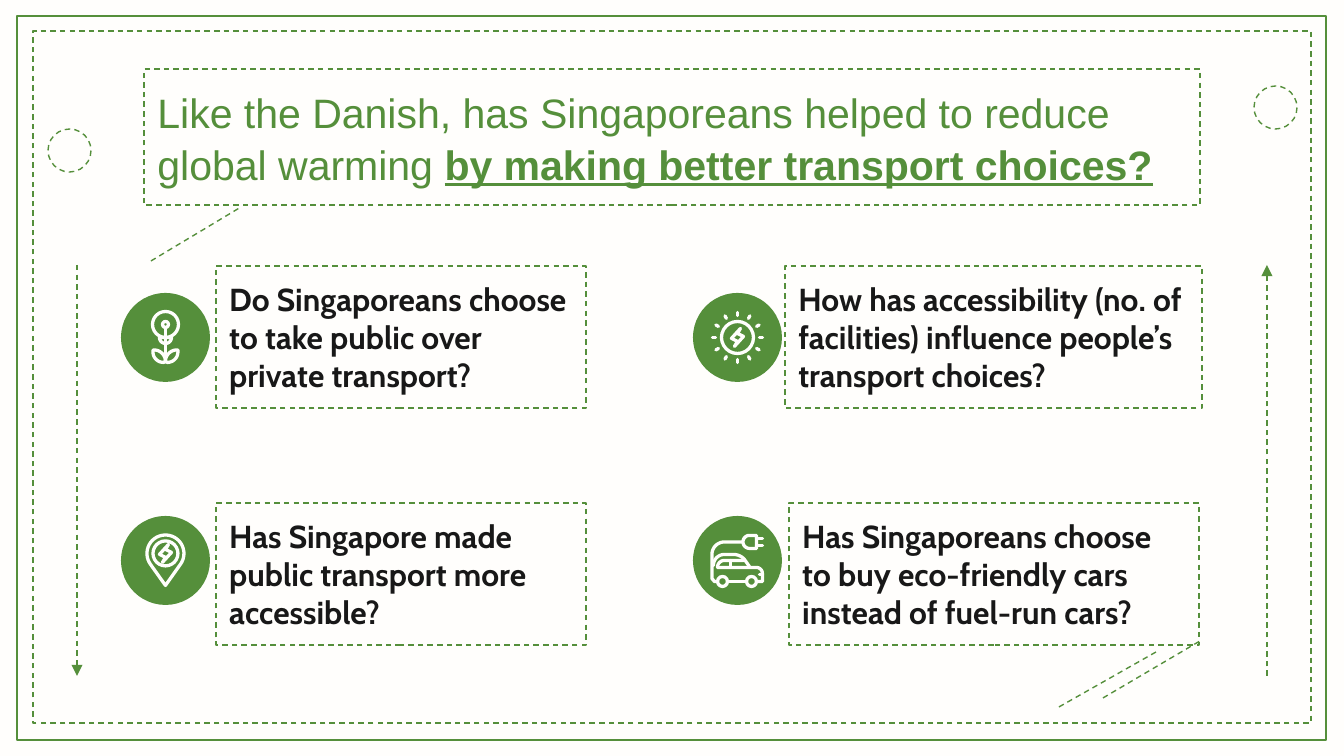
import math

import pptx
import pptx.dml.color
import pptx.enum.dml
import pptx.enum.shapes
import pptx.enum.text
import pptx.oxml
import pptx.oxml.ns
import pptx.util

EMU_PER_PX = 914400 / 134.4
GREEN, CREAM, INK = "558F3B", "FFFEFC", "181818"
ICON_WIDTH = 1.75
BADGE = 89

TITLE_BOX = (144, 69, 1056, 136)
TITLE = [
    ("Like the Danish, has Singaporeans helped to reduce global warming ", False),
    ("by making better transport choices?", True),
]

# icon, badge left and top, card left, top, width and height, question
CARDS = [
    ("bulb", 121, 293, (216, 266, 370, 142),
     "Do Singaporeans choose to take public over private transport?"),
    ("pin", 121, 516, (216, 503, 370, 142),
     "Has Singapore made public transport more accessible?"),
    ("sun", 693, 293, (785, 266, 417, 142),
     "How has accessibility (no. of facilities) influence people’s transport choices?"),
    ("car", 693, 516, (789, 503, 410, 142),
     "Has Singaporeans choose to buy eco-friendly cars instead of fuel-run cars?"),
]

FRAMES = [((17, 16, 1309, 724), 1.5, False), ((33, 31, 1278, 692), 0.75, True)]
DOTS = [(48, 129, 43, 43), (1254, 86, 43, 43)]
DASHES = [(1103, 698, 1200, 641), (151, 261, 241, 207), (1059, 707, 1156, 652)]
ARROWS = [(77, 265, 77, 676), (1267, 676, 1267, 265)]


def arc(x, y, radius, start, end):
    """Points along an arc, in degrees clockwise from the right."""
    steps = max(2, abs(end - start) // 8)
    angles = [math.radians(start + (end - start) * i / steps) for i in range(steps + 1)]
    return [(x + radius * math.cos(a), y + radius * math.sin(a)) for a in angles]


def mirror(points):
    return [(-x, y) for x, y in points]


def bolt(y):
    half = [(3, -9), (-6, 1), (0, 4)]
    return [(px, y + py) for px, py in half + [(-px, -py) for px, py in half]]


def ray(angle):
    a = math.radians(angle)
    return [(r * math.cos(a), r * math.sin(a)) for r in (22, 25)]


LEAF = arc(-11.5, 24, 11.5, 270, 360) + arc(-2, 14.5, 10.5, 90, 180) + [(-12.5, 12.5)]

# Positions are px from the badge centre; rings are x, y, radius
ICONS = {
    "bulb": {
        "rings": [(0, -13, 13), (0, -13, 3)],
        "closed": [arc(0, 0, 6, 0, 180), LEAF, mirror(LEAF)],
        "open": [[(0, -10), (0, 24)]],
    },
    "pin": {
        "rings": [(0, -7, 12.5)],
        "closed": [arc(0, -7, 18.5, 143, 397) + [(0, 25)], bolt(-7)],
        "open": [],
    },
    "sun": {
        "rings": [(0, 0, 16)],
        "closed": [bolt(0)],
        "open": [ray(angle) for angle in range(0, 360, 30)],
    },
    "car": {
        "rings": [(-15, 21, 5), (14, 21, 5)],
        "closed": [arc(12, -18.5, 6.5, 90, 270) + [(19, -25), (19, -12)]],
        "open": [
            [(-20, 21), (-23, 21), (-25.5, 18)] + arc(-13, -6, 12.5, 180, 270) + [(5, -18.5)],
            [(19, -22), (25, -22)],
            [(19, -15), (25, -15)],
            arc(-13, 5, 11, 180, 270) + arc(-4, 9, 15, 270, 315) + [(12, 6)],
            arc(-13, 7, 7, 180, 270) + [(6, 0)],
            [(-7, 0), (-7, 6)],
            [(-20, 7), (19, 7)] + arc(19, 13, 6, 270, 360) + [(25, 21), (20, 21)],
            [(-9, 21), (8, 21)],
            [(22, 14), (25, 14)],
        ],
    },
}


def emu(px):
    return round(px * EMU_PER_PX)


def rgb(value):
    return pptx.dml.color.RGBColor.from_string(value)


def set_fill(shape, color):
    if color:
        shape.fill.solid()
        shape.fill.fore_color.rgb = rgb(color)
    else:
        shape.fill.background()


def set_line(shape, color, width, dashed=False):
    shape.line.color.rgb = rgb(color)
    shape.line.width = pptx.util.Pt(width)
    if dashed:
        shape.line.dash_style = pptx.enum.dml.MSO_LINE.DASH


def add_preset(page, kind, box, fill=None):
    preset = getattr(pptx.enum.shapes.MSO_SHAPE, kind)
    shape = page.shapes.add_shape(preset, *map(emu, box))
    shape.shadow.inherit = False
    set_fill(shape, fill)
    return shape


def add_dash(page, ends, arrow=False):
    straight = pptx.enum.shapes.MSO_CONNECTOR.STRAIGHT
    line = page.shapes.add_connector(straight, *map(emu, ends))
    set_line(line, GREEN, 0.75, True)
    properties = line._element.spPr
    if arrow:
        head = pptx.oxml.parse_xml(f'<a:tailEnd {pptx.oxml.ns.nsdecls("a")} type="triangle"/>')
        properties.find(pptx.oxml.ns.qn("a:ln")).append(head)
    properties.append(pptx.oxml.parse_xml(f'<a:effectLst {pptx.oxml.ns.nsdecls("a")}/>'))


def add_stroke(page, center_x, center_y, points, closed):
    spots = [(emu(center_x + x), emu(center_y + y)) for x, y in points]
    builder = page.shapes.build_freeform(*spots[0])
    builder.add_line_segments(spots[1:], close=closed)
    shape = builder.convert_to_shape()
    shape.shadow.inherit = False
    set_fill(shape, None)
    set_line(shape, CREAM, ICON_WIDTH)
    shape._element.spPr.find(pptx.oxml.ns.qn("a:ln")).set("cap", "rnd")


def add_badge(page, name, left, top):
    badge = add_preset(page, "OVAL", (left, top, BADGE, BADGE), GREEN)
    badge.line.fill.background()
    x, y = left + BADGE / 2, top + BADGE / 2
    icon = ICONS[name]
    for dx, dy, radius in icon["rings"]:
        box = (x + dx - radius, y + dy - radius, 2 * radius, 2 * radius)
        set_line(add_preset(page, "OVAL", box), CREAM, ICON_WIDTH)
    for kind in ("closed", "open"):
        for points in icon[kind]:
            add_stroke(page, x, y, points, kind == "closed")


def fill_box(shape, spans, font, size, color):
    """Dashed box whose text is given as (text, emphasised) spans."""
    set_line(shape, GREEN, 0.75, True)
    frame = shape.text_frame
    frame.word_wrap = True
    frame.auto_size = pptx.enum.text.MSO_AUTO_SIZE.NONE
    frame.vertical_anchor = pptx.enum.text.MSO_ANCHOR.MIDDLE
    for side in ("left", "top", "right", "bottom"):
        setattr(frame, f"margin_{side}", pptx.util.Inches(0.1))
    para = frame.paragraphs[0]
    para.alignment = pptx.enum.text.PP_ALIGN.LEFT
    para.font.name, para.font.size = font, pptx.util.Pt(size)
    para.font.color.rgb = rgb(color)
    for text, emphasised in spans:
        span = para.add_run()
        span.text = text
        if emphasised:
            span.font.bold = span.font.underline = True
    return para


def main():
    deck = pptx.Presentation()
    deck.slide_width, deck.slide_height = emu(1344), emu(756)
    page = deck.slides.add_slide(deck.slide_layouts[5])
    set_fill(page.background, CREAM)

    for box, width, dashed in FRAMES:
        set_line(add_preset(page, "RECTANGLE", box), GREEN, width, dashed)
    for box in DOTS:
        set_line(add_preset(page, "OVAL", box, CREAM), GREEN, 0.75, True)
    for ends in DASHES:
        add_dash(page, ends)
    for ends in ARROWS:
        add_dash(page, ends, arrow=True)

    title = page.shapes.title
    title.left, title.top, title.width, title.height = map(emu, TITLE_BOX)
    fill_box(title, TITLE, "Arial", 22, GREEN).line_spacing = 1.04

    for icon, left, top, box, question in CARDS:
        card = page.shapes.add_textbox(*map(emu, box))
        fill_box(card, [(question, False)], "Cabin", 17, INK).font.bold = True
        add_badge(page, icon, left, top)

    deck.save("out.pptx")


if __name__ == "__main__":
    main()
